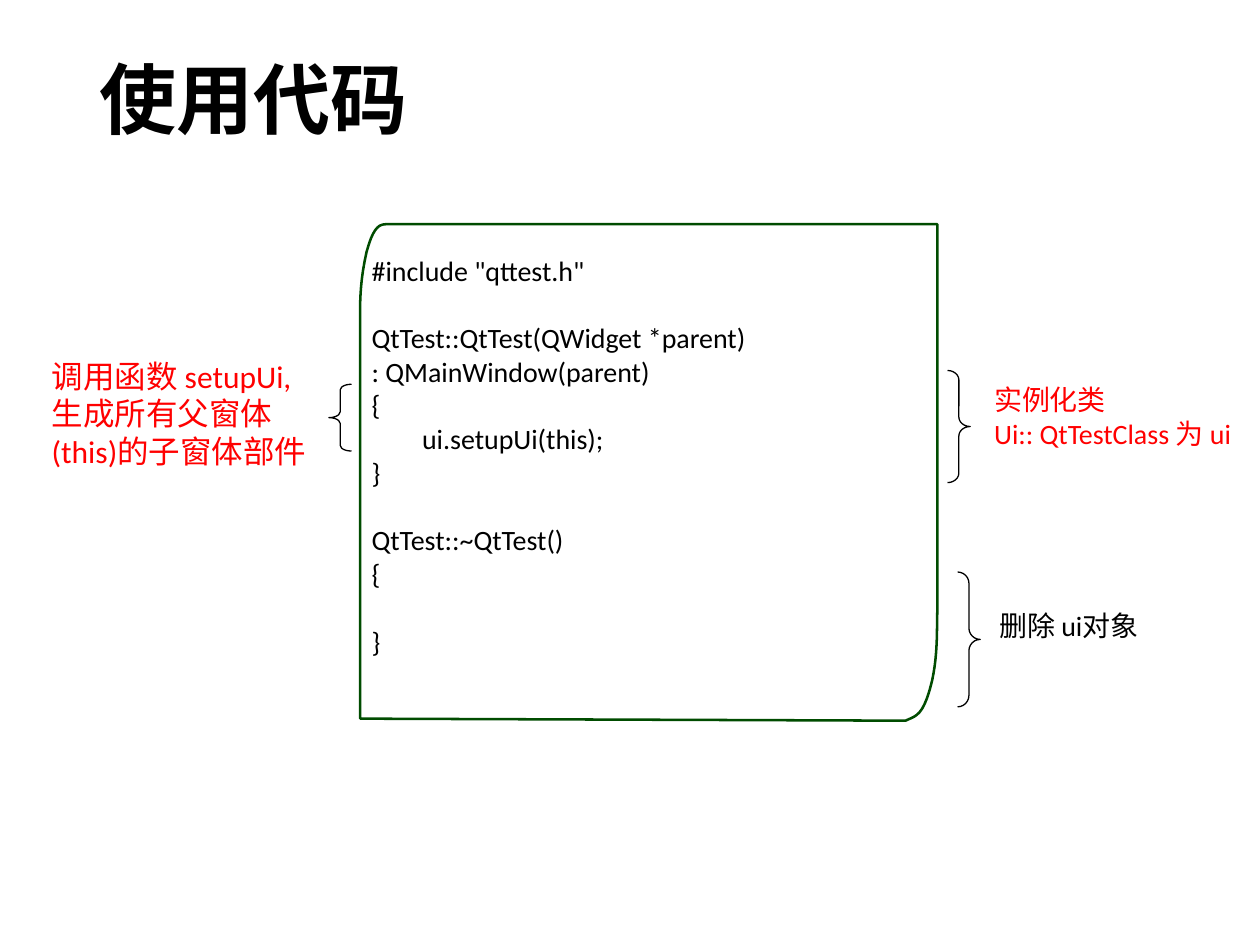
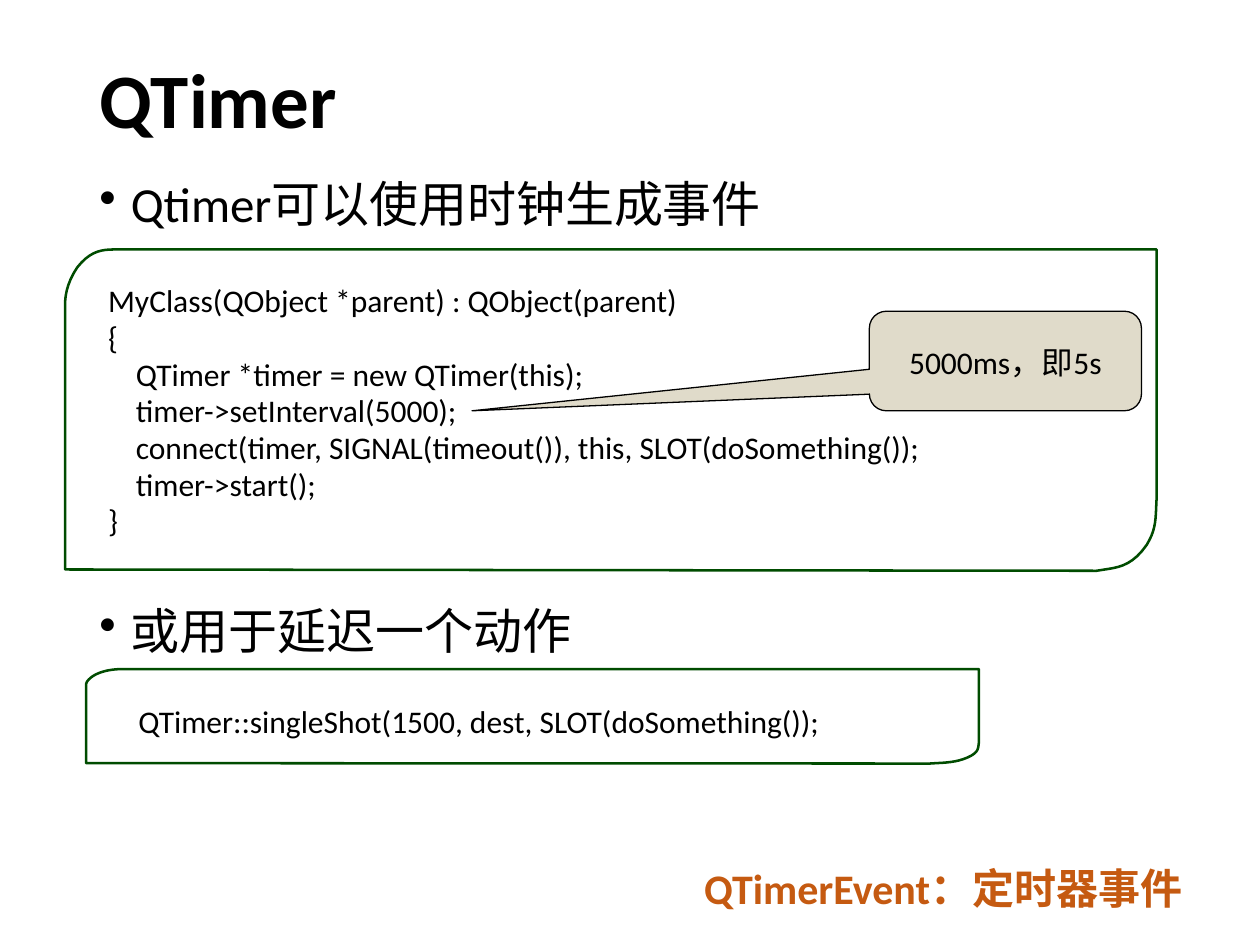
"""Build two slides on Qt: using generated interface code and QTimer."""

from dataclasses import dataclass

import lxml.etree
import pptx
import pptx.dml.color
import pptx.enum.shapes
import pptx.enum.text
import pptx.oxml.ns
import pptx.util

Inches = pptx.util.Inches
Pt = pptx.util.Pt
Shapes = pptx.enum.shapes.MSO_SHAPE


@dataclass(frozen=True)
class Theme:
    font: str = "Calibri"
    black: str = "000000"
    red: str = "FF0000"
    green: str = "004C00"
    beige: str = "E0DBCA"
    orange: str = "C55A11"
    title_size: float = 44
    bullet_size: float = 28
    topic_size: float = 24
    text_size: float = 18
    small_size: float = 16
    thin_line: float = 0.75
    frame_line: float = 1.45


THEME = Theme()


@dataclass(frozen=True)
class Box:
    left: float
    top: float
    width: float
    height: float

    def lengths(self) -> tuple:
        return tuple(Inches(value) for value in (self.left, self.top, self.width, self.height))


@dataclass(frozen=True)
class Line:
    text: str
    indent: float = 0
    space_before: float = 0
    bullet: bool = False


@dataclass(frozen=True)
class TextStyle:
    size: float
    color: str = THEME.black
    bold: bool = False
    spacing: float = 1.0
    wrap: bool = False
    insets: tuple = (0.1, 0.06, 0.1, 0.05)


@dataclass(frozen=True)
class TextBlock:
    box: Box
    lines: tuple
    style: TextStyle


@dataclass(frozen=True)
class Brace:
    box: Box
    curl: float
    kind: Shapes = Shapes.RIGHT_BRACE


TITLE_BOX = Box(0.69, 0.4, 8.62, 0.84)
TITLE = TextStyle(THEME.title_size, bold=True, spacing=0.9, wrap=True, insets=(0.1, 0.05, 0.1, 0.05))
BULLETS = TextStyle(THEME.bullet_size, spacing=0.9, wrap=True, insets=(0.1, 0.05, 0.1, 0.05))
TOPIC = TextStyle(THEME.topic_size, THEME.orange, bold=True, wrap=True, insets=(0.1, 0.05, 0.1, 0.05))
SOURCE_CODE = TextStyle(THEME.small_size, insets=(0.09, 0.05, 0.09, 0.04))
TIMER_CODE = TextStyle(THEME.text_size, spacing=0.97)
CALLOUT = TextStyle(THEME.text_size)
NOTE_INSETS = (0.09, 0.06, 0.09, 0.04)
NOTE = TextStyle(THEME.small_size, insets=NOTE_INSETS)
RED_NOTE = TextStyle(THEME.small_size, THEME.red, insets=NOTE_INSETS)
SETUP_NOTE = TextStyle(THEME.text_size, THEME.red, wrap=True, insets=NOTE_INSETS)

CODE_GAP = 19.5
BODY_INDENT = 0.4
TIMER_INDENT = 0.22
BULLET_INDENT = 0.25

FRAME_START = (5, 0)
FRAME_SEGMENTS = (
    ((100, 0),),
    ((100, 77),),
    ((99.9, 83.8), (100, 86.8), (99.1, 91.9)),
    ((97.6, 99.2), (96.3, 99), (94.5, 100)),
    ((0.2, 99.6),),
    ((0.2, 18.8),),
    ((0.2, 17.3), (0, 12.2), (1.3, 5.6)),
    ((2.6, 0), (3.7, 0), (5, 0)),
)
CURVE_STEPS = 10

SETUP_FRAME = Box(2.85, 1.78, 4.59, 3.94)
SETUP_TEXTS = (
    TextBlock(
        Box(2.86, 1.96, 4.17, 3.41),
        (
            Line('#include "qttest.h"'),
            Line("QtTest::QtTest(QWidget *parent)", space_before=CODE_GAP),
            Line(": QMainWindow(parent)"),
            Line("{"),
            Line("ui.setupUi(this);", BODY_INDENT),
            Line("}"),
            Line("QtTest::~QtTest()", space_before=CODE_GAP),
            Line("{"),
            Line("}", space_before=CODE_GAP),
        ),
        SOURCE_CODE,
    ),
    TextBlock(Box(7.8, 2.98, 1.88, 0.85), (Line("实例化类"), Line("Ui:: QtTestClass 为 ui")), RED_NOTE),
    TextBlock(Box(7.84, 4.77, 1.6, 0.78), (Line("删除 ui对象"),), NOTE),
    TextBlock(
        Box(0.32, 2.77, 2.32, 1.36),
        (Line("调用函数 setupUi, 生成所有父窗体 (this)的子窗体部件"),),
        SETUP_NOTE,
    ),
)
BRACES = (
    Brace(Box(2.61, 3.05, 0.18, 0.53), 0.25, Shapes.LEFT_BRACE),
    Brace(Box(7.52, 2.94, 0.18, 0.89), 0.42),
    Brace(Box(7.6, 4.54, 0.18, 1.07), 0.5),
)

TIMER_FRAMES = (Box(0.5, 1.98, 8.68, 2.55), Box(0.67, 5.31, 7.1, 0.75))
TIMER_TEXTS = (
    TextBlock(
        Box(0.69, 1.38, 8.62, 5.58),
        (
            Line("Qtimer可以使用时钟生成事件", BULLET_INDENT, 10, True),
            Line("或用于延迟一个动作", BULLET_INDENT, 214, True),
        ),
        BULLETS,
    ),
    TextBlock(
        Box(0.76, 2.19, 8.2, 1.79),
        (
            Line("MyClass(QObject *parent) : QObject(parent)"),
            Line("{"),
            Line("QTimer *timer = new QTimer(this);", TIMER_INDENT),
            Line("timer->setInterval(5000);", TIMER_INDENT),
            Line("connect(timer, SIGNAL(timeout()), this, SLOT(doSomething());", TIMER_INDENT),
            Line("timer->start();", TIMER_INDENT),
            Line("}"),
        ),
        TIMER_CODE,
    ),
    TextBlock(
        Box(1, 5.53, 6.57, 0.34),
        (Line("QTimer::singleShot(1500, dest, SLOT(doSomething());"),),
        TIMER_CODE,
    ),
    TextBlock(Box(5.49, 6.8, 4.57, 0.5), (Line("QTimerEvent：定时器事件"),), TOPIC),
)
CALLOUT_BOX = Box(6.9, 2.47, 2.16, 0.79)
CALLOUT_ADJUSTMENTS = (-1.96, 0.5, 0.17)


def rgb(color: str) -> pptx.dml.color.RGBColor:
    return pptx.dml.color.RGBColor.from_string(color)


def indent_paragraph(paragraph, line: Line) -> None:
    properties = paragraph._p.get_or_add_pPr()
    properties.set("marL", str(Inches(line.indent)))
    properties.set("indent", str(-Inches(line.indent) if line.bullet else 0))
    if line.bullet:
        bullet = lxml.etree.SubElement(properties, pptx.oxml.ns.qn("a:buChar"))
        bullet.set("char", "•")


def write_lines(
    text_frame,
    lines: tuple,
    style: TextStyle,
    alignment=pptx.enum.text.PP_ALIGN.LEFT,
    anchor=pptx.enum.text.MSO_ANCHOR.TOP,
) -> None:
    text_frame.text = "\n".join(line.text for line in lines)
    text_frame.word_wrap = style.wrap
    text_frame.auto_size = pptx.enum.text.MSO_AUTO_SIZE.NONE
    text_frame.vertical_anchor = anchor
    (
        text_frame.margin_left,
        text_frame.margin_top,
        text_frame.margin_right,
        text_frame.margin_bottom,
    ) = map(Inches, style.insets)
    for paragraph, line in zip(text_frame.paragraphs, lines):
        paragraph.alignment = alignment
        paragraph.line_spacing = style.spacing
        paragraph.space_before = Pt(line.space_before)
        if line.indent:
            indent_paragraph(paragraph, line)
        for run in paragraph.runs:
            run.font.name = THEME.font
            run.font.size = Pt(style.size)
            run.font.bold = style.bold
            run.font.color.rgb = rgb(style.color)


def add_titled_slide(presentation, title: str):
    slide = presentation.slides.add_slide(presentation.slide_layouts[5])
    shape = slide.shapes.title
    shape.left, shape.top, shape.width, shape.height = TITLE_BOX.lengths()
    write_lines(shape.text_frame, (Line(title),), TITLE, anchor=pptx.enum.text.MSO_ANCHOR.MIDDLE)
    return slide


def add_text(slide, block: TextBlock) -> None:
    shape = slide.shapes.add_textbox(*block.box.lengths())
    write_lines(shape.text_frame, block.lines, block.style)


def outline_shape(shape, color: str, width: float, fill: str | None = None) -> None:
    shape.shadow.inherit = False
    shape.line.color.rgb = rgb(color)
    shape.line.width = Pt(width)
    if fill is None:
        shape.fill.background()
    else:
        shape.fill.solid()
        shape.fill.fore_color.rgb = rgb(fill)


def add_brace(slide, brace: Brace) -> None:
    shape = slide.shapes.add_shape(brace.kind, *brace.box.lengths())
    shape.adjustments[0] = brace.curl
    outline_shape(shape, THEME.black, THEME.thin_line)


def curve_point(points: tuple, position: float) -> tuple:
    while len(points) > 1:
        points = tuple(
            tuple(a + (b - a) * position for a, b in zip(first, second))
            for first, second in zip(points, points[1:])
        )
    return points[0]


def frame_outline() -> list:
    outline = [FRAME_START]
    for segment in FRAME_SEGMENTS:
        points = (outline[-1], *segment)
        steps = CURVE_STEPS if len(segment) > 1 else 1
        outline += [curve_point(points, step / steps) for step in range(1, steps + 1)]
    return outline


def add_code_frame(slide, box: Box) -> None:
    start, *rest = [
        (Inches(box.left + box.width * x / 100), Inches(box.top + box.height * y / 100))
        for x, y in frame_outline()
    ]
    builder = slide.shapes.build_freeform(*start)
    builder.add_line_segments(rest, close=True)
    outline_shape(builder.convert_to_shape(), THEME.green, THEME.frame_line)


def add_callout(slide) -> None:
    shape = slide.shapes.add_shape(Shapes.ROUNDED_RECTANGULAR_CALLOUT, *CALLOUT_BOX.lengths())
    for index, value in enumerate(CALLOUT_ADJUSTMENTS):
        shape.adjustments[index] = value
    outline_shape(shape, THEME.black, THEME.thin_line, THEME.beige)
    write_lines(
        shape.text_frame,
        (Line("5000ms，即5s"),),
        CALLOUT,
        pptx.enum.text.PP_ALIGN.CENTER,
        pptx.enum.text.MSO_ANCHOR.MIDDLE,
    )


def main() -> None:
    presentation = pptx.Presentation()
    presentation.slide_width = Inches(10)
    presentation.slide_height = Inches(7.5)

    setup_slide = add_titled_slide(presentation, "使用代码")
    for block in SETUP_TEXTS:
        add_text(setup_slide, block)
    for brace in BRACES:
        add_brace(setup_slide, brace)
    add_code_frame(setup_slide, SETUP_FRAME)

    timer_slide = add_titled_slide(presentation, "QTimer")
    for frame in TIMER_FRAMES:
        add_code_frame(timer_slide, frame)
    for block in TIMER_TEXTS:
        add_text(timer_slide, block)
    add_callout(timer_slide)

    presentation.save("out.pptx")


if __name__ == "__main__":
    main()
